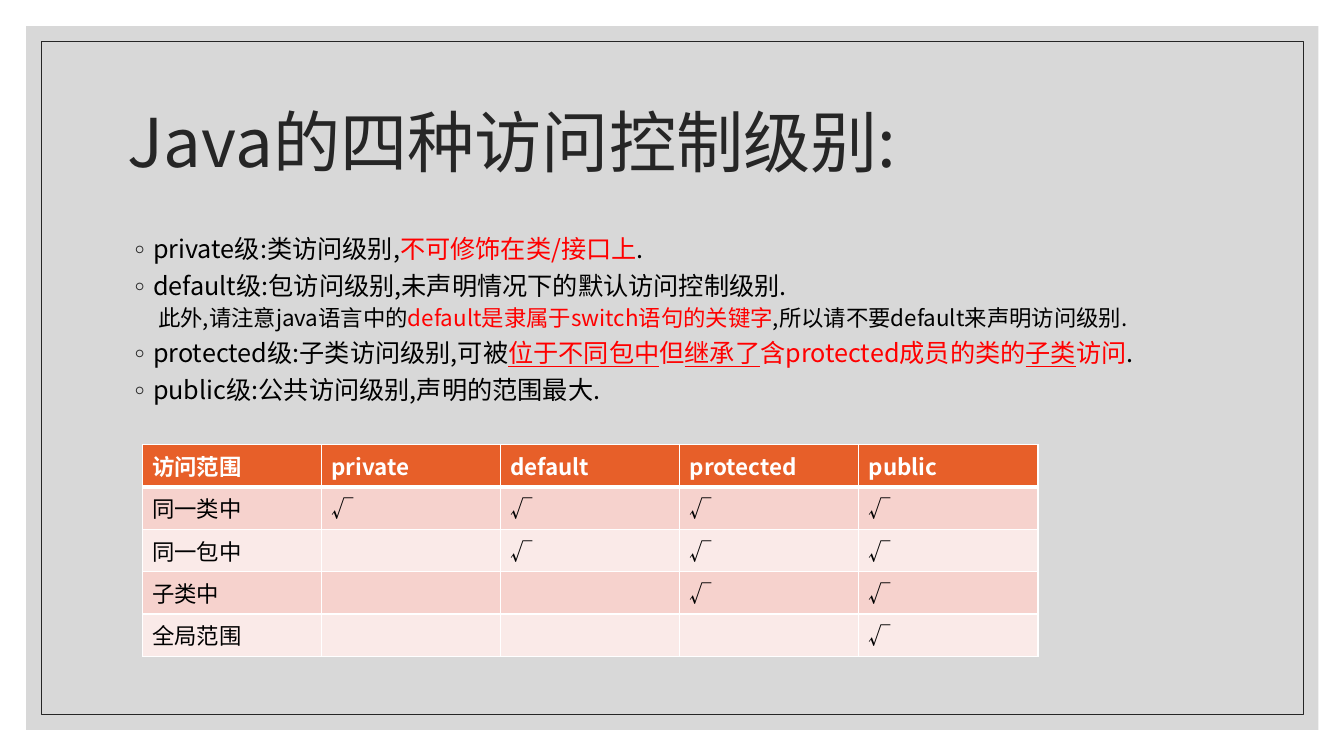
from dataclasses import dataclass
from pptx import Presentation
from pptx.dml.color import RGBColor as RGB
from pptx.enum.shapes import MSO_SHAPE as Kind
from pptx.enum.text import MSO_ANCHOR as Anchor, MSO_AUTO_SIZE as Fit, PP_ALIGN as Align
from pptx.oxml import parse_xml as to_xml
from pptx.oxml.ns import nsdecls
from pptx.util import Pt


@dataclass(frozen=True)
class Theme:
    font: str = "Noto Sans CJK SC"
    ink: str = "262626"
    text: str = "000000"
    key: str = "FF0000"
    panel: str = "BFBFBF"
    head: str = "E75F29"
    bands: tuple = ("F6D2CD", "FAEAE8")
    white: str = "FFFFFF"
    title: int = 48
    list: int = 18
    small: int = 16


def apply(obj, form):
    for name, value in form.items():
        setattr(obj, name, value)


def node(xml):
    return to_xml(xml.replace(">", f" {nsdecls('a')}>", 1) if "/>" not in xml.split(">")[0] + ">"
                  else xml.replace("/>", f" {nsdecls('a')}/>", 1))


class Deck:
    def __init__(self, theme, wide, high):
        self.theme = theme
        self.file = Presentation()
        apply(self.file, dict(slide_width=Pt(wide), slide_height=Pt(high)))
        self.slide = self.file.slides.add_slide(self.file.slide_layouts[1])

    def place(self, shape, box):
        apply(shape, dict(zip(("left", "top", "width", "height"), map(Pt, box))))

    def run(self, para, text, size, color, **form):
        run = para.add_run()
        run.text = text
        apply(run.font, dict(name=self.theme.font, size=Pt(size), **form))
        run.font.color.rgb = RGB.from_string(color)
        run.font._element.append(node(f'<a:ea typeface="{self.theme.font}"/>'))

    def rect(self, box, fill=None, alpha=100, line=None):
        shape = self.slide.shapes.add_shape(Kind.RECTANGLE, *map(Pt, box))
        shape.shadow.inherit = False
        if fill:
            shape.fill.solid()
            shape.fill.fore_color.rgb = RGB.from_string(fill)
            tint = shape.fill._xPr.find(".//{*}srgbClr")
            tint.append(node(f'<a:alpha val="{alpha * 1000}"/>'))
        else:
            shape.fill.background()
        if line:
            shape.line.color.rgb = RGB.from_string(line)
            shape.line.width = Pt(0.5)
        else:
            shape.line.fill.background()

    def holder(self, index, box, anchor):
        shape = self.slide.placeholders[index]
        self.place(shape, box)
        # Bring the placeholder in front of the panel
        tree = shape._element.getparent()
        tree.append(shape._element)
        apply(shape.text_frame, dict(word_wrap=True, auto_size=Fit.NONE, vertical_anchor=anchor))
        return shape.text_frame

    def title(self, text, box):
        para = self.holder(0, box, Anchor.MIDDLE).paragraphs[0]
        apply(para, dict(alignment=Align.LEFT, line_spacing=0.9))
        self.run(para, text, self.theme.title, self.theme.ink)

    def list(self, items, box):
        frame = self.holder(1, box, Anchor.TOP)
        for pos, (level, parts) in enumerate(items):
            para = frame.paragraphs[0] if pos == 0 else frame.add_paragraph()
            apply(para, dict(level=level, line_spacing=0.9, space_before=Pt(4 if level else 7)))
            props = para._p.get_or_add_pPr()
            left, hang = (21.6, 0) if level else (14.4, -14.4)
            props.set("marL", str(Pt(left)))
            props.set("indent", str(Pt(hang)))
            if level:
                props.append(node("<a:buNone/>"))
            else:
                props.append(node(f'<a:buClr><a:srgbClr val="{self.theme.ink}"/></a:buClr>'))
                props.append(node(f'<a:buFont typeface="{self.theme.font}"/>'))
                props.append(node('<a:buChar char="◦"/>'))
            size = self.theme.small if level else self.theme.list
            for text, *marks in parts:
                color = self.theme.key if "key" in marks else self.theme.text
                self.run(para, text, size, color, underline="line" in marks)

    def cell(self, cell, text, fill, color, bold, edges):
        cell.fill.solid()
        cell.fill.fore_color.rgb = RGB.from_string(fill)
        props = cell._tc.get_or_add_tcPr()
        for pos, (side, width) in enumerate(edges.items()):
            props.insert(pos, node(
                f'<a:ln{side} w="{Pt(width)}"><a:solidFill><a:srgbClr val="{self.theme.white}"/>'
                f'</a:solidFill></a:ln{side}>'))
        if text:
            self.run(cell.text_frame.paragraphs[0], text, self.theme.small, color, bold=bold)

    def table(self, rows, box):
        look = self.theme
        grid = self.slide.shapes.add_table(len(rows), len(rows[0]), *map(Pt, box)).table
        for r, row in enumerate(rows):
            head = r == 0
            fill = look.head if head else look.bands[(r - 1) % 2]
            color = look.white if head else look.text
            edges = dict(L=1, R=1, T=3 if r == 1 else 1, B=3 if head else 1)
            for c, text in enumerate(row):
                self.cell(grid.cell(r, c), text, fill, color, head, edges)


look = Theme()
deck = Deck(look, 960, 540)

# Backdrop
deck.rect((18.7, 18.7, 923, 502.6), fill=look.panel, alpha=60)
deck.rect((29.5, 29.5, 901.4, 481), line=look.ink)

# Title and list
deck.title("Java的四种访问控制级别:", (84.2, 50.4, 792, 108))
deck.list([
    (0, [("private级:类访问级别,",), ("不可修饰在类/接口上", "key"), (".",)]),
    (0, [("default级:包访问级别,未声明情况下的默认访问控制级别.",)]),
    (1, [("此外,请注意java语言中的",), ("default是隶属于switch语句的关键字", "key"),
         (",所以请不要default来声明访问级别.",)]),
    (0, [("protected级:子类访问级别,可被",), ("位于不同包中", "key", "line"), ("但", "key"),
         ("继承了", "key", "line"), ("含protected成员的类的", "key"),
         ("子类", "key", "line"), ("访问", "key"), (".",)]),
    (0, [("public级:公共访问级别,声明的范围最大.",)]),
], (84.2, 165.6, 792, 303))

# Access table: each scope is reached by one level fewer than the last
levels = ["private", "default", "protected", "public"]
scopes = ["同一类中", "同一包中", "子类中", "全局范围"]
rows = [["访问范围"] + levels]
for r, scope in enumerate(scopes):
    rows.append([scope] + ["√" if c >= r else "" for c in range(len(levels))])
deck.table(rows, (101.5, 317.5, 640, 146))

deck.file.save("out.pptx")
